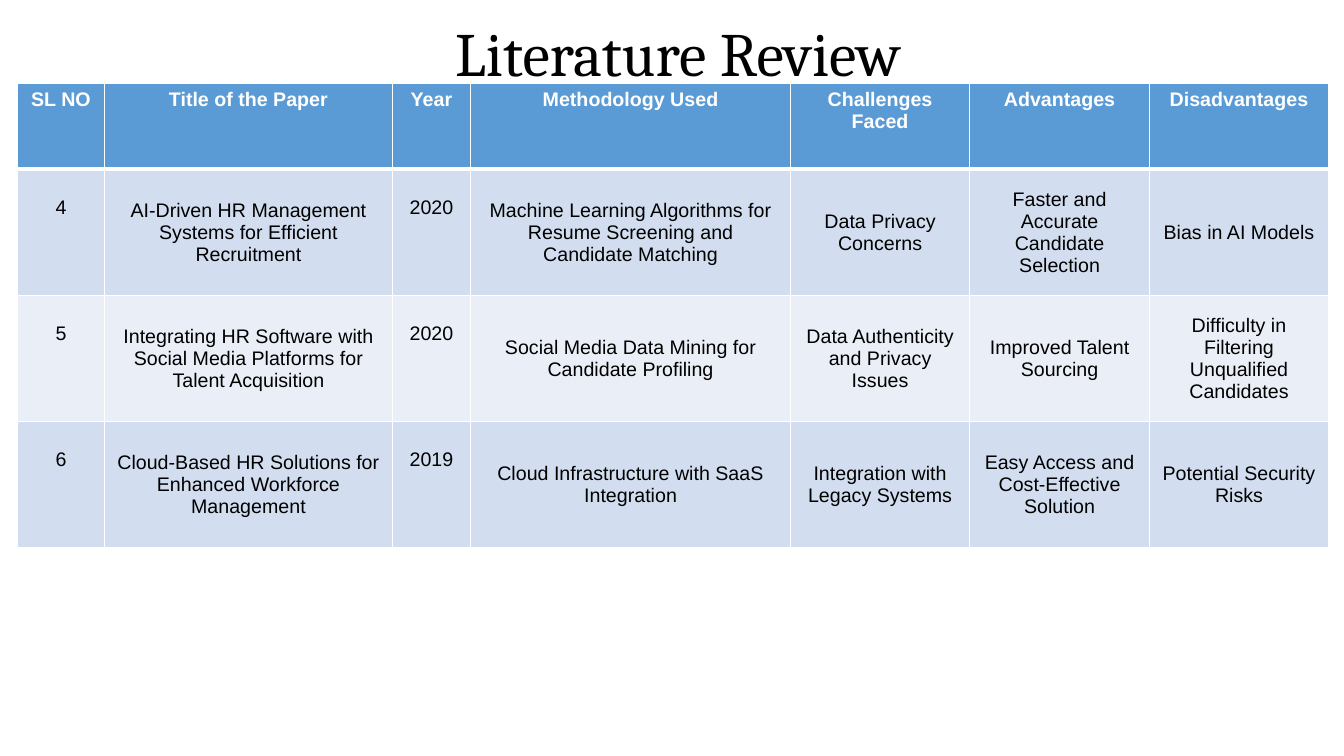
from lxml.etree import SubElement
from pptx import Presentation
from pptx.dml.color import RGBColor
from pptx.enum.text import MSO_ANCHOR, MSO_AUTO_SIZE, PP_ALIGN
from pptx.oxml.ns import qn
from pptx.util import Inches, Pt

HEADINGS = ["SL NO", "Title of the Paper", "Year", "Methodology Used",
            "Challenges Faced", "Advantages", "Disadvantages"]
PAPERS = [
    ["4", "AI-Driven HR Management Systems for Efficient Recruitment", "2020",
     "Machine Learning Algorithms for Resume Screening and Candidate Matching",
     "Data Privacy Concerns", "Faster and Accurate Candidate Selection",
     "Bias in AI Models"],
    ["5", "Integrating HR Software with Social Media Platforms for Talent Acquisition",
     "2020", "Social Media Data Mining for Candidate Profiling",
     "Data Authenticity and Privacy Issues", "Improved Talent Sourcing",
     "Difficulty in Filtering Unqualified Candidates"],
    ["6", "Cloud-Based HR Solutions for Enhanced Workforce Management", "2019",
     "Cloud Infrastructure with SaaS Integration",
     "Integration with Legacy Systems", "Easy Access and Cost-Effective Solution",
     "Potential Security Risks"],
]
COLUMN_WIDTHS = [0.87, 2.85, 0.78, 3.17, 1.78, 1.78, 1.78]
ROW_HEIGHTS = [0.85, 1.25, 1.25, 1.25]
NUMBER_COLUMNS = (0, 2)
HEADER_FILL = "5B9BD5"
BAND_FILLS = ("D2DEEF", "EAEFF7")
WHITE = "FFFFFF"
BLACK = "000000"


def color(code):
    """Turn a hex string into a colour."""
    return RGBColor.from_string(code)


def write(para, text, font, size, code, bold=False):
    """Add one centred, formatted run to a paragraph."""
    para.alignment = PP_ALIGN.CENTER
    span = para.add_run()
    span.text = text
    span.font.name = font
    span.font.size = Pt(size)
    span.font.bold = bold
    span.font.color.rgb = color(code)


def add_title(page, text):
    """Place and fill the slide title."""
    box = page.shapes.title
    box.left, box.top = Inches(0.89), Inches(0.3)
    box.width, box.height = Inches(11.67), Inches(0.53)
    frame = box.text_frame
    frame.word_wrap = True
    frame.auto_size = MSO_AUTO_SIZE.NONE
    frame.vertical_anchor = MSO_ANCHOR.MIDDLE
    para = frame.paragraphs[0]
    para.line_spacing = 0.9
    write(para, text, "Cambria", 44, BLACK)


def set_borders(cell, top, bottom):
    """Draw white borders around a cell, with widths in points."""
    properties = cell._tc.get_or_add_tcPr()
    for side, width in (("L", 1), ("R", 1), ("T", top), ("B", bottom)):
        line = SubElement(properties, qn(f"a:ln{side}"), w=str(Pt(width)))
        fill = SubElement(line, qn("a:solidFill"))
        SubElement(fill, qn("a:srgbClr"), val=WHITE)


def fill_cell(cell, text, row, column):
    """Format one cell by its row and column and write its text."""
    header = row == 0
    set_borders(cell, 3 if row == 1 else 1, 3 if header else 1)
    cell.fill.solid()
    cell.fill.fore_color.rgb = color(HEADER_FILL if header else BAND_FILLS[(row - 1) % 2])
    if header:
        cell.vertical_anchor = MSO_ANCHOR.TOP
    elif column in NUMBER_COLUMNS:
        cell.vertical_anchor = MSO_ANCHOR.TOP
        cell.margin_top = Inches(0.27)
    else:
        cell.vertical_anchor = MSO_ANCHOR.MIDDLE
    write(cell.text_frame.paragraphs[0], text, "Arial", 14,
          WHITE if header else BLACK, header)


def add_review_table(page):
    """Build the table of reviewed papers."""
    rows = [HEADINGS] + PAPERS
    table = page.shapes.add_table(
        len(rows), len(HEADINGS), Inches(0.17), Inches(0.83),
        Inches(sum(COLUMN_WIDTHS)), Inches(sum(ROW_HEIGHTS))).table
    for column, width in zip(table.columns, COLUMN_WIDTHS):
        column.width = Inches(width)
    for row, height in zip(table.rows, ROW_HEIGHTS):
        row.height = Inches(height)
    for row, texts in enumerate(rows):
        for column, text in enumerate(texts):
            fill_cell(table.cell(row, column), text, row, column)


def main():
    """Build and save the slide."""
    deck = Presentation()
    deck.slide_width, deck.slide_height = Inches(13.33), Inches(7.5)
    page = deck.slides.add_slide(deck.slide_layouts[5])
    add_title(page, "Literature Review")
    add_review_table(page)
    deck.save("out.pptx")


if __name__ == "__main__":
    main()
